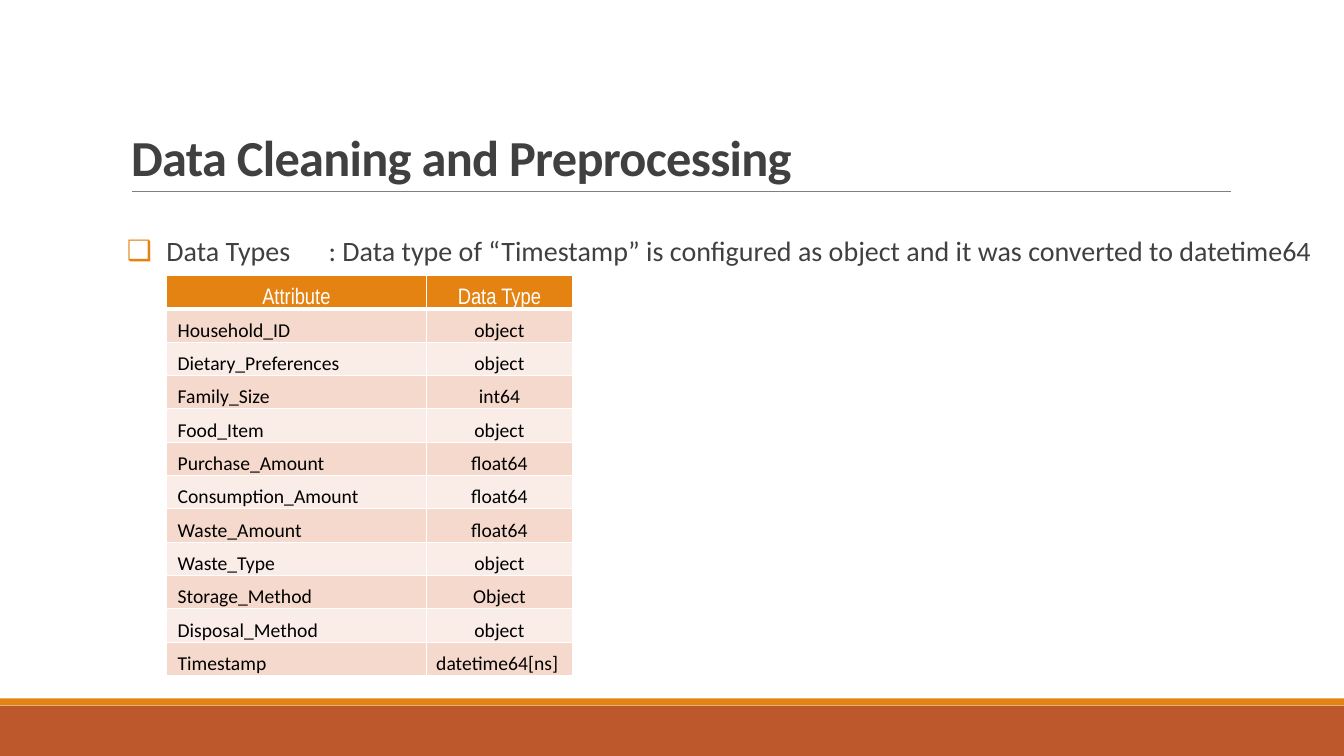
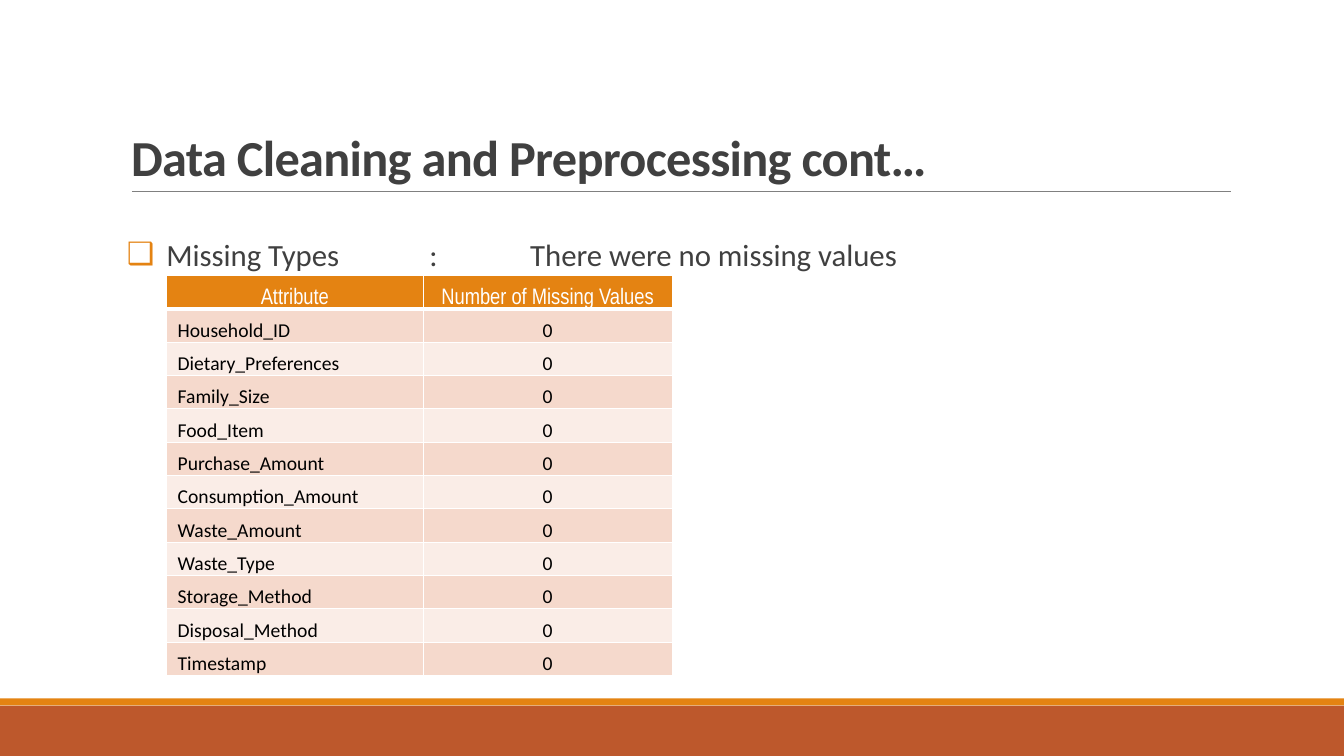
from dataclasses import dataclass

from lxml.etree import SubElement
from pptx import Presentation
from pptx.dml.color import RGBColor
from pptx.enum.shapes import MSO_CONNECTOR, MSO_SHAPE
from pptx.enum.text import MSO_ANCHOR, MSO_AUTO_SIZE, PP_ALIGN
from pptx.oxml.ns import qn
from pptx.util import Pt

# Shared look
ORANGE, RUST, GREY, INK = "E48312", "BD582C", "808080", "404040"
WHITE, BLACK = "FFFFFF", "000000"
ROW_FILLS = ("F5D9CC", "FAEDE7")
BODY_FONT, HEADER_FONT = "Calibri", "Arial Narrow"
PAGE_WIDTH, PAGE_HEIGHT = 960, 540
TITLE_AREA = (86.4, 22.3, 792, 114.5)
BODY_LEFT, BODY_TOP, BODY_HEIGHT = 90.7, 149, 334
TABLE_LEFT, TABLE_TOP, ROW_HEIGHT = 119, 196.8, 23.82
HANGING_INDENT = 28.1
CELL_INDENT = 7.2
TAB_SIZE = 72

ATTRIBUTES = (
    "Household_ID", "Dietary_Preferences", "Family_Size", "Food_Item",
    "Purchase_Amount", "Consumption_Amount", "Waste_Amount", "Waste_Type",
    "Storage_Method", "Disposal_Method", "Timestamp",
)
DATA_TYPES = (
    "object", "object", "int64", "object", "float64", "float64",
    "float64", "object", "Object", "object", "datetime64[ns] ",
)


@dataclass(frozen=True)
class Band:
    top: float
    height: float
    color: str


@dataclass(frozen=True)
class TablePage:
    title: str
    point: str
    point_size: float
    body_width: float
    value_header: str
    values: tuple[str, ...]
    column_widths: tuple[float, float]


BANDS = (Band(504, 36, RUST), Band(498.77, 5.2, ORANGE))

PAGES = (
    TablePage(
        "Data Cleaning and Preprocessing",
        "Data Types\t: Data type of “Timestamp” is configured as object "
        "and it was converted to datetime64",
        20, 855.4, "Data Type", DATA_TYPES, (185.5, 104.5),
    ),
    TablePage(
        "Data Cleaning and Preprocessing cont…",
        "Missing Types\t:\tThere were no missing values",
        22, 831.6, "Number of Missing Values", ("0",) * len(ATTRIBUTES),
        (183.3, 177.8),
    ),
)


def rgb(color: str) -> RGBColor:
    return RGBColor.from_string(color)


def place(box, left: float, top: float, width: float, height: float) -> None:
    box.left, box.top = Pt(left), Pt(top)
    box.width, box.height = Pt(width), Pt(height)


def write(para, text: str, *, size: float, color: str = INK,
          font: str = BODY_FONT, bold: bool = False, align=PP_ALIGN.LEFT,
          line_spacing: float = 1.0, before: float = 0, after: float = 0,
          indent: float = 0, hanging: float = 0, tracking: float = 0,
          bullet: str = "") -> None:
    """Fill a paragraph with one formatted span."""
    span = para.add_run()
    span.text = text
    span.font.size, span.font.name, span.font.bold = Pt(size), font, bold
    span.font.color.rgb = rgb(color)
    if tracking:
        span.font._element.set("spc", str(round(tracking * 100)))

    para.alignment, para.line_spacing = align, line_spacing
    para.space_before, para.space_after = Pt(before), Pt(after)
    properties = para._p.get_or_add_pPr()
    properties.set("marL", str(Pt(indent)))
    properties.set("indent", str(Pt(-hanging)))
    properties.set("defTabSz", str(Pt(TAB_SIZE)))
    if bullet:
        bullet_color = SubElement(properties, qn("a:buClr"))
        SubElement(bullet_color, qn("a:srgbClr"), val=ORANGE)
        SubElement(properties, qn("a:buChar"), char=bullet)


def decorate_layout(layout, page) -> None:
    """Draw the bands and title rule once, then hand them to the layout."""
    parts = []
    for band in BANDS:
        box = page.shapes.add_shape(MSO_SHAPE.RECTANGLE, Pt(0), Pt(band.top),
                                    Pt(PAGE_WIDTH), Pt(band.height))
        box.shadow.inherit = False
        box.fill.solid()
        box.fill.fore_color.rgb = rgb(band.color)
        box.line.fill.background()
        parts.append(box)
    rule = page.shapes.add_connector(MSO_CONNECTOR.STRAIGHT, Pt(94.3),
                                     Pt(136.8), Pt(879.1), Pt(136.8))
    rule.line.color.rgb = rgb(GREY)
    rule.line.width = Pt(0.5)
    SubElement(rule._element.spPr, qn("a:effectLst"))
    for part in (*parts, rule):
        layout.shapes.element.append(part._element)


def set_borders(cell, bottom: float) -> None:
    properties = cell._tc.get_or_add_tcPr()
    for side, width in (("L", 1), ("R", 1), ("T", 1), ("B", bottom)):
        line = SubElement(properties, qn(f"a:ln{side}"), w=str(Pt(width)))
        fill = SubElement(line, qn("a:solidFill"))
        SubElement(fill, qn("a:srgbClr"), val=WHITE)


def add_attribute_table(page, content: TablePage) -> None:
    rows = [("Attribute", content.value_header),
            *zip(ATTRIBUTES, content.values)]
    table = page.shapes.add_table(
        len(rows), 2, Pt(TABLE_LEFT), Pt(TABLE_TOP),
        Pt(sum(content.column_widths)), Pt(ROW_HEIGHT * len(rows))).table
    for column, width in zip(table.columns, content.column_widths):
        column.width = Pt(width)
    for row_index, texts in enumerate(rows):
        table.rows[row_index].height = Pt(ROW_HEIGHT)
        header = row_index == 0
        for column_index, text in enumerate(texts):
            cell = table.cell(row_index, column_index)
            cell.margin_left = cell.margin_right = cell.margin_top = Pt(0.72)
            cell.margin_bottom = Pt(0)
            cell.vertical_anchor = MSO_ANCHOR.BOTTOM
            set_borders(cell, bottom=3 if header else 1)
            cell.fill.solid()
            cell.fill.fore_color.rgb = rgb(
                ORANGE if header else ROW_FILLS[(row_index - 1) % 2])
            para = cell.text_frame.paragraphs[0]
            if header:
                write(para, text, size=16, font=HEADER_FONT, color=WHITE,
                      align=PP_ALIGN.CENTER)
            elif column_index == 0:
                write(para, text, size=14, color=BLACK, indent=CELL_INDENT)
            else:
                write(para, text, size=14, color=BLACK,
                      align=PP_ALIGN.CENTER)


def fill_page(page, content: TablePage) -> None:
    # Title
    title = page.shapes.title
    place(title, *TITLE_AREA)
    title.text_frame.vertical_anchor = MSO_ANCHOR.BOTTOM
    title.text_frame.auto_size = MSO_AUTO_SIZE.NONE
    write(title.text_frame.paragraphs[0], content.title, size=36, bold=True,
          line_spacing=0.85, tracking=-0.5)

    # Bullet point
    body = page.placeholders[1]
    place(body, BODY_LEFT, BODY_TOP, content.body_width, BODY_HEIGHT)
    frame = body.text_frame
    frame.auto_size = MSO_AUTO_SIZE.NONE
    frame.margin_left = frame.margin_right = Pt(0)
    frame.margin_top = frame.margin_bottom = Pt(3.6)
    write(frame.paragraphs[0], content.point, size=content.point_size,
          line_spacing=1.6, before=12, after=2, indent=HANGING_INDENT,
          hanging=HANGING_INDENT, bullet="❑")

    # Attribute table
    add_attribute_table(page, content)


def main() -> None:
    deck = Presentation()
    deck.slide_width, deck.slide_height = Pt(PAGE_WIDTH), Pt(PAGE_HEIGHT)
    layout = deck.slide_layouts[1]
    pages = [deck.slides.add_slide(layout) for _ in PAGES]
    decorate_layout(layout, pages[0])
    for page, content in zip(pages, PAGES):
        fill_page(page, content)
    deck.save("out.pptx")


if __name__ == "__main__":
    main()
